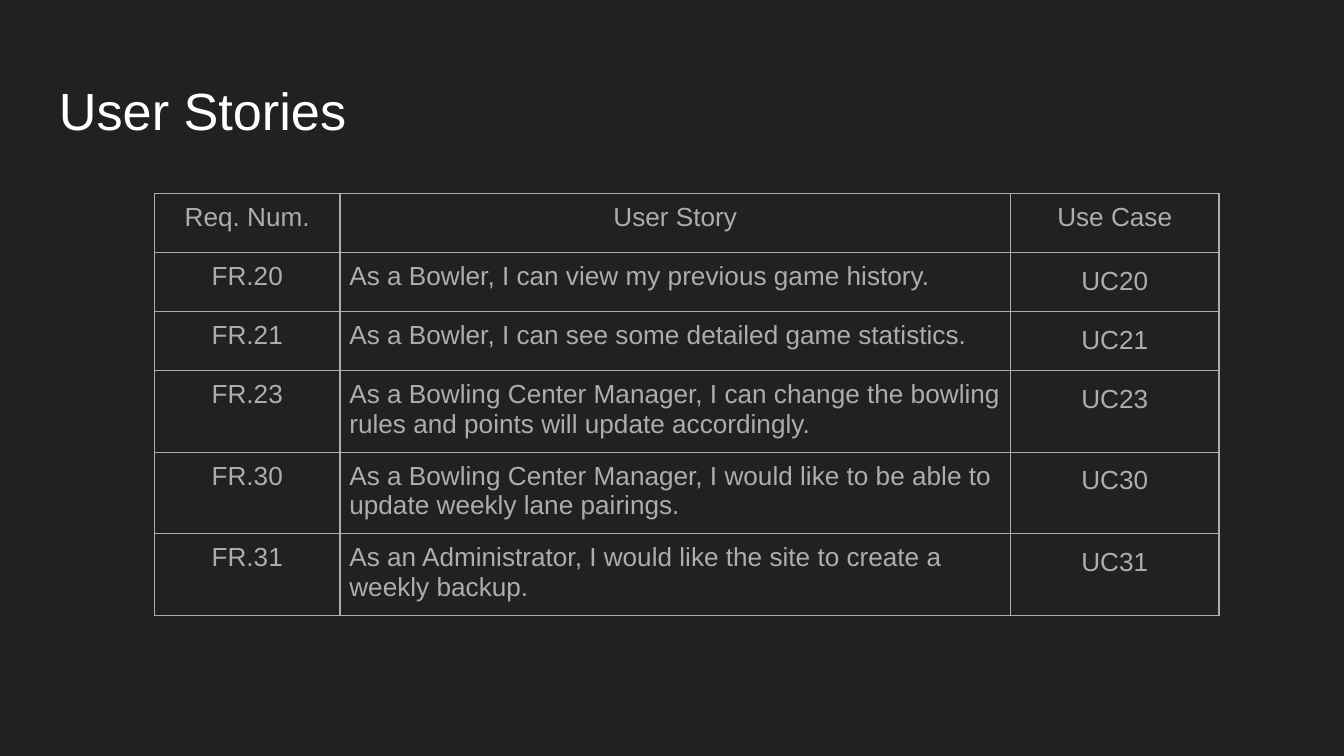
"""Builds the User Stories slide with its requirements table."""
from lxml.etree import SubElement
from pptx import Presentation
from pptx.dml.color import RGBColor
from pptx.enum.text import PP_ALIGN as Align
from pptx.oxml.ns import qn
from pptx.util import Inches, Pt

COLORS = {"background": "212121", "title": "FFFFFF", "table": "ADADAD"}
HEADINGS = ("Req. Num.", "User Story", "Use Case")
STORIES = [
    ("20", "As a Bowler, I can view my previous game history."),
    ("21", "As a Bowler, I can see some detailed game statistics."),
    ("23", "As a Bowling Center Manager, I can change the bowling rules and points will update accordingly."),
    ("30", "As a Bowling Center Manager, I would like to be able to update weekly lane pairings."),
    ("31", "As an Administrator, I would like the site to create a weekly backup."),
]
COLUMN_WIDTHS = (1.38, 4.99, 1.55)
ROW_HEIGHT = 0.44
FRAME_SIDE = 3.28
CELL_MARGIN = Inches(5 / 72)


def add_span(para, text, size, color):
    span = para.add_run()
    span.text = text
    span.font.name = "Arial"
    span.font.size = Pt(size)
    span.font.bold = False
    span.font.color.rgb = RGBColor.from_string(COLORS[color])


def add_borders(cell):
    properties = cell._tc.get_or_add_tcPr()
    for side in ("a:lnL", "a:lnR", "a:lnT", "a:lnB"):
        line = SubElement(properties, qn(side), w=str(Pt(0.75)))
        fill = SubElement(line, qn("a:solidFill"))
        SubElement(fill, qn("a:srgbClr"), val=COLORS["table"])


deck = Presentation()
deck.slide_width = Inches(10)
deck.slide_height = Inches(10 * 9 / 16)
page = deck.slides.add_slide(deck.slide_layouts[6])
page.background.fill.solid()
page.background.fill.fore_color.rgb = RGBColor.from_string(COLORS["background"])

title_box = page.shapes.add_textbox(Inches(0.34), Inches(0.48), Inches(9.32), Inches(0.63))
title = title_box.text_frame
title.word_wrap = True
title.margin_left = title.margin_right = Inches(0.1)
title.margin_top = title.margin_bottom = Inches(0.1)
add_span(title.paragraphs[0], "User Stories", 28, "title")

rows = [HEADINGS] + [(f"FR.{number}", story, f"UC{number}") for number, story in STORIES]
frame = page.shapes.add_table(
    len(rows), len(HEADINGS), Inches(1.15), Inches(1.44),
    Inches(FRAME_SIDE), Inches(FRAME_SIDE),
)
table = frame.table
table.first_row = False
table.horz_banding = False
for column, width in zip(table.columns, COLUMN_WIDTHS):
    column.width = Inches(width)

for row_index, row in enumerate(rows):
    table.rows[row_index].height = Inches(ROW_HEIGHT)
    for column_index, text in enumerate(row):
        cell = table.cell(row_index, column_index)
        cell.margin_left = cell.margin_right = CELL_MARGIN
        cell.margin_top = cell.margin_bottom = CELL_MARGIN
        add_borders(cell)
        cell.fill.background()
        para = cell.text_frame.paragraphs[0]
        is_story = row_index > 0 and column_index == 1
        para.alignment = Align.LEFT if is_story else Align.CENTER
        if row_index > 0 and column_index == 2:
            para.line_spacing = 1.15
        add_span(para, text, 14, "table")

frame.width = frame.height = Inches(FRAME_SIDE)
deck.save("out.pptx")
